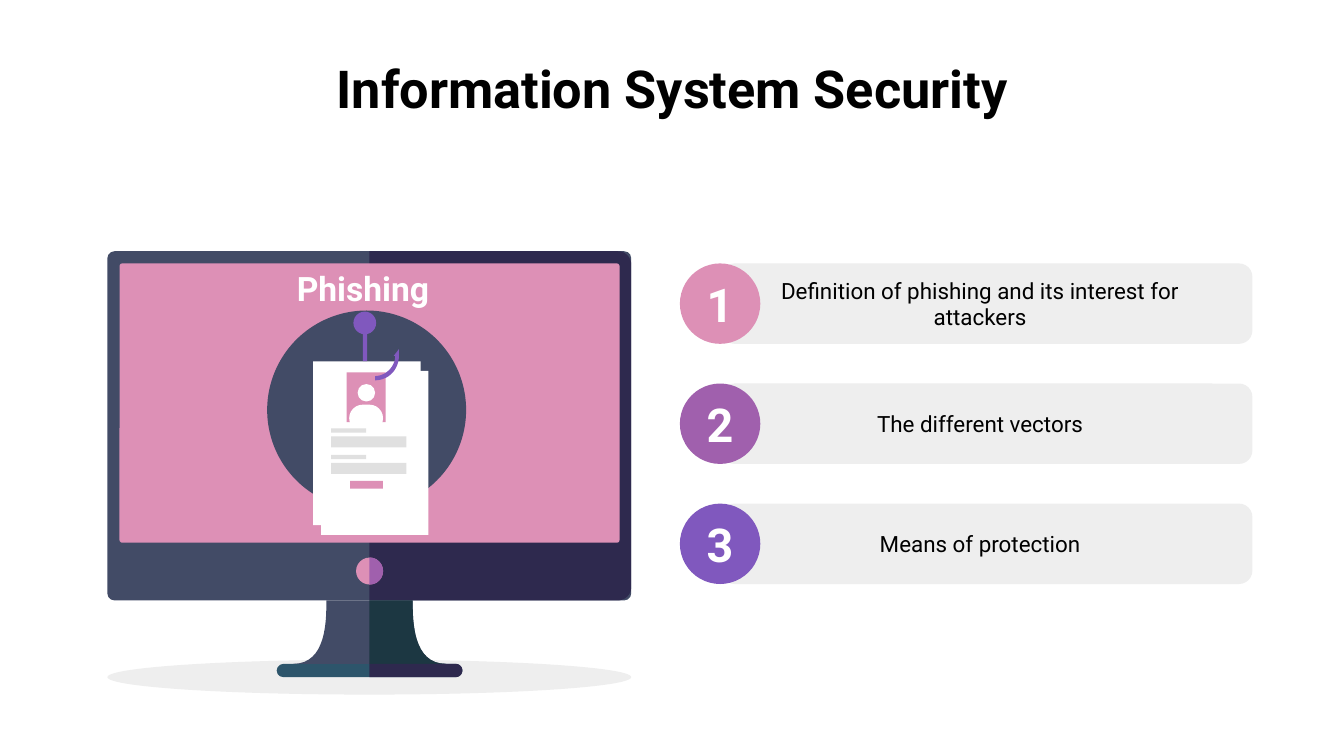
"""Build the Information System Security slide."""
from pptx import Presentation
from pptx.dml.color import RGBColor
from pptx.enum.shapes import MSO_SHAPE as Kind
from pptx.enum.text import MSO_ANCHOR as Anchor, MSO_AUTO_SIZE as Fit, PP_ALIGN as Align
from pptx.util import Cm, Pt

COLORS = {
    "black": "000000", "white": "FFFFFF", "pale": "EEEEEE", "grey": "E0E0E0",
    "slate": "424B66", "navy": "2E294E", "teal": "2D556B", "forest": "1C3742",
    "pink": "DD90B6", "plum": "A060AD", "violet": "8058BE",
}
ITEMS = [
    ("Definition of phishing and its interest for attackers", "pink"),
    ("The different vectors", "plum"),
    ("Means of protection", "violet"),
]


def rgb(name):
    """Return a named colour."""
    return RGBColor.from_string(COLORS[name])


def paint(sp, color):
    """Give a shape a flat fill without line or shadow."""
    sp.shadow.inherit = False
    sp.fill.solid()
    sp.fill.fore_color.rgb = rgb(color)
    sp.line.fill.background()
    return sp


def preset(shapes, kind, box, color, adj=None):
    """Add a preset shape in a box given in centimetres."""
    sp = paint(shapes.add_shape(kind, *map(Cm, box)), color)
    if adj is not None:
        sp.adjustments[0] = adj
    return sp


def bezier(a, b, c, d, steps=16):
    """Return the points of a cubic curve after its start."""
    for t in (i / steps for i in range(1, steps + 1)):
        u = 1 - t
        yield tuple(u**3 * p + 3 * u * u * t * q + 3 * u * t * t * r + t**3 * e
                    for p, q, r, e in zip(a, b, c, d))


def outline(shapes, start, steps, color):
    """Add a closed outline; two numbers make a line, six make a curve."""
    pts = [start]
    for step in steps:
        if len(step) == 2:
            pts.append(step)
        else:
            pts.extend(bezier(pts[-1], step[:2], step[2:4], step[4:]))
    pts = [(Cm(x), Cm(y)) for x, y in pts]
    fb = shapes.build_freeform(*pts[0], scale=1.0)
    fb.add_line_segments(pts[1:], close=True)
    return paint(fb.convert_to_shape(), color)


def right_half(shapes, x, top, right, bottom, radius, color):
    """Add a half panel that is rounded on its right side."""
    k = radius * 0.45
    steps = [
        (right - radius, top),
        (right - k, top, right, top + k, right, top + radius),
        (right, bottom - radius),
        (right, bottom - k, right - k, bottom, right - radius, bottom),
        (x, bottom),
    ]
    outline(shapes, (x, top), steps, color)


def write(sp, text, size, color, bold=False, align=Align.CENTER,
          anchor=Anchor.MIDDLE, insets=(0.25, 0.25), wrap=True):
    """Put formatted text into a shape."""
    tf = sp.text_frame
    frame = {
        "auto_size": Fit.NONE, "word_wrap": wrap, "vertical_anchor": anchor,
        "margin_left": Cm(insets[0]), "margin_right": Cm(insets[1]),
        "margin_top": Cm(0.25), "margin_bottom": Cm(0.25),
    }
    for name, value in frame.items():
        setattr(tf, name, value)
    p = tf.paragraphs[0]
    p.alignment = align
    r = p.add_run()
    r.text = text
    for name, value in {"name": "Roboto", "size": Pt(size), "bold": bold}.items():
        setattr(r.font, name, value)
    r.font.color.rgb = rgb(color)


def draw_monitor(s):
    """Draw the monitor on its stand."""
    g = s.shapes.add_group_shape().shapes
    mid = 6.98
    preset(g, Kind.OVAL, (2.03, 12.47, 9.9, 0.66), "pale")
    preset(g, Kind.ROUNDED_RECTANGLE, (2.03, 4.75, 9.9, 6.6), "slate", 0.02)
    right_half(g, mid, 4.75, 11.93, 11.35, 0.25, "navy")
    preset(g, Kind.ROUNDED_RECTANGLE, (2.26, 4.98, 9.45, 5.28), "pink", 0.01)
    preset(g, Kind.ROUNDED_RECTANGLE, (5.23, 12.55, 3.51, 0.25), "teal", 0.5)
    flare = (8.43, 12.55), (7.8, 12.55, 7.8, 11.73, 7.8, 11.35)
    outline(g, (6.17, 11.35), [(6.17, 11.73, 6.17, 12.55, 5.54, 12.55), *flare], "slate")
    preset(g, Kind.OVAL, (6.73, 10.54, 0.51, 0.51), "pink")
    right_half(g, mid, 10.54, 7.24, 11.05, 0.25, "plum")
    outline(g, (mid, 11.35), [(mid, 12.55), *flare], "forest")
    right_half(g, mid, 12.55, 8.74, 12.8, 0.125, "navy")


def draw_bait(s):
    """Draw the hooked document."""
    g = s.shapes.add_group_shape().shapes
    preset(g, Kind.OVAL, (5.05, 5.87, 3.76, 3.76), "slate")
    for x, y in ((6.07, 7.01), (5.92, 6.83)):
        preset(g, Kind.RECTANGLE, (x, y, 2.03, 3.1), "white")
    preset(g, Kind.RECTANGLE, (6.55, 7.04, 0.74, 0.94), "pink")
    preset(g, Kind.OVAL, (6.76, 7.26, 0.33, 0.33), "white")
    preset(g, Kind.ROUNDED_RECTANGLE, (6.6, 7.65, 0.64, 0.51), "white", 0.5)
    for y in (8.1, 8.6):
        preset(g, Kind.RECTANGLE, (6.26, y + 0.15, 1.42, 0.21), "grey")
        preset(g, Kind.RECTANGLE, (6.26, y, 0.66, 0.08), "grey")
    preset(g, Kind.RECTANGLE, (6.62, 9.09, 0.62, 0.15), "pink")
    hook = [(7.44, 6.73), (7.47, 6.73), (7.47, 6.93, 7.29, 7.11, 7.09, 7.11),
            (7.09, 7.19), (7.34, 7.19, 7.54, 6.99, 7.54, 6.73)]
    outline(g, (7.54, 6.6), hook, "violet")
    preset(g, Kind.OVAL, (6.68, 5.89, 0.43, 0.43), "violet")
    preset(g, Kind.RECTANGLE, (6.86, 6.1, 0.08, 0.73), "violet")


def draw_item(s, i, text, color):
    """Draw one numbered bar."""
    g = s.shapes.add_group_shape().shapes
    y = 4.98 + 2.27 * i
    bar = preset(g, Kind.ROUNDED_RECTANGLE, (13.63, y, 10.04, 1.52), "pale", 0.167)
    write(bar, text, 12, "black", insets=(0.51, 0.76))
    badge = preset(g, Kind.OVAL, (12.85, y, 1.52, 1.52), color)
    write(badge, str(i + 1), 25, "white", bold=True, wrap=False)


def main():
    """Build and save the slide."""
    prs = Presentation()
    prs.slide_width, prs.slide_height = Cm(25.4), Cm(14.29)
    s = prs.slides.add_slide(prs.slide_layouts[5])
    title = s.shapes.title
    box = {"left": 1.27, "top": 0.81, "width": 22.86, "height": 1.6}
    for name, value in box.items():
        setattr(title, name, Cm(value))
    write(title, "Information System Security", 28, "black", True, anchor=Anchor.TOP)
    draw_monitor(s)
    draw_bait(s)
    label = s.shapes.add_textbox(Cm(5.36), Cm(4.93), Cm(11.2), Cm(1.02))
    write(label, "Phishing", 18, "white", True, Align.LEFT, Anchor.TOP)
    label.text_frame.margin_top = Cm(0.13)
    for i, (text, color) in enumerate(ITEMS):
        draw_item(s, i, text, color)
    prs.save("out.pptx")


main()
